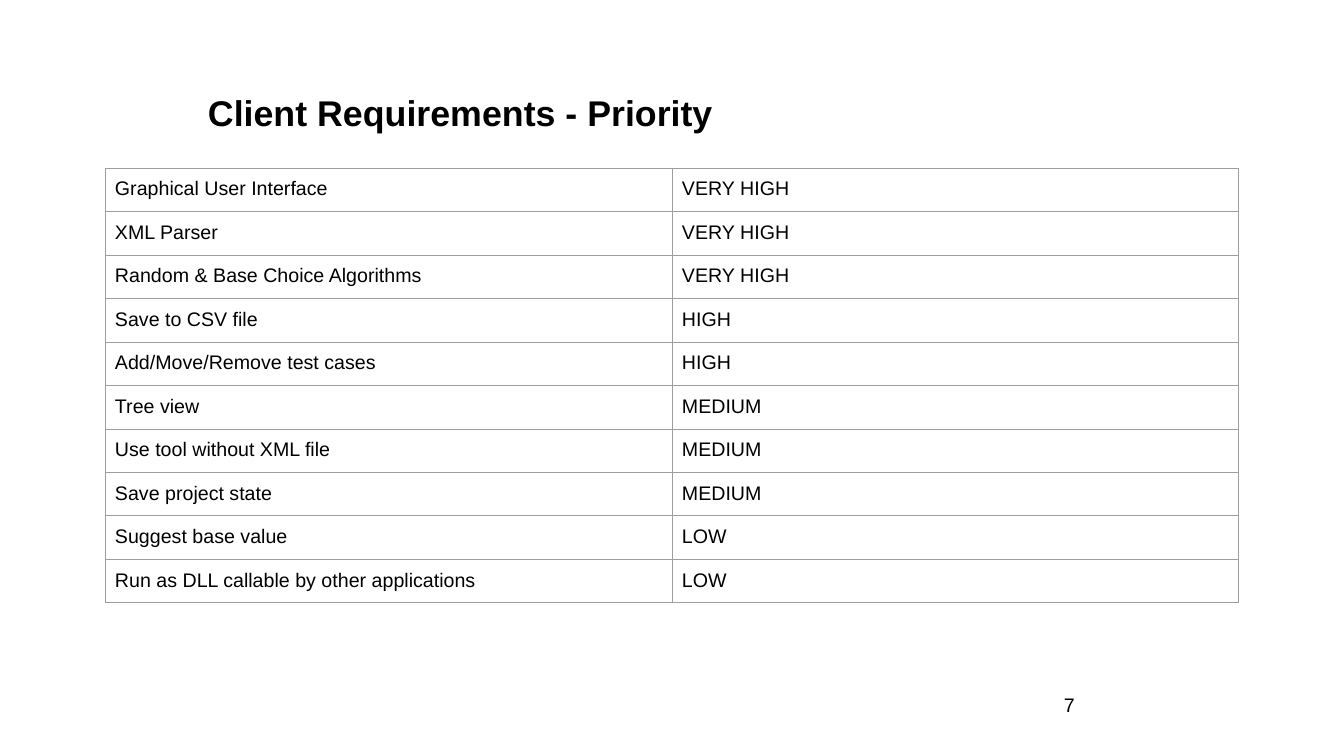
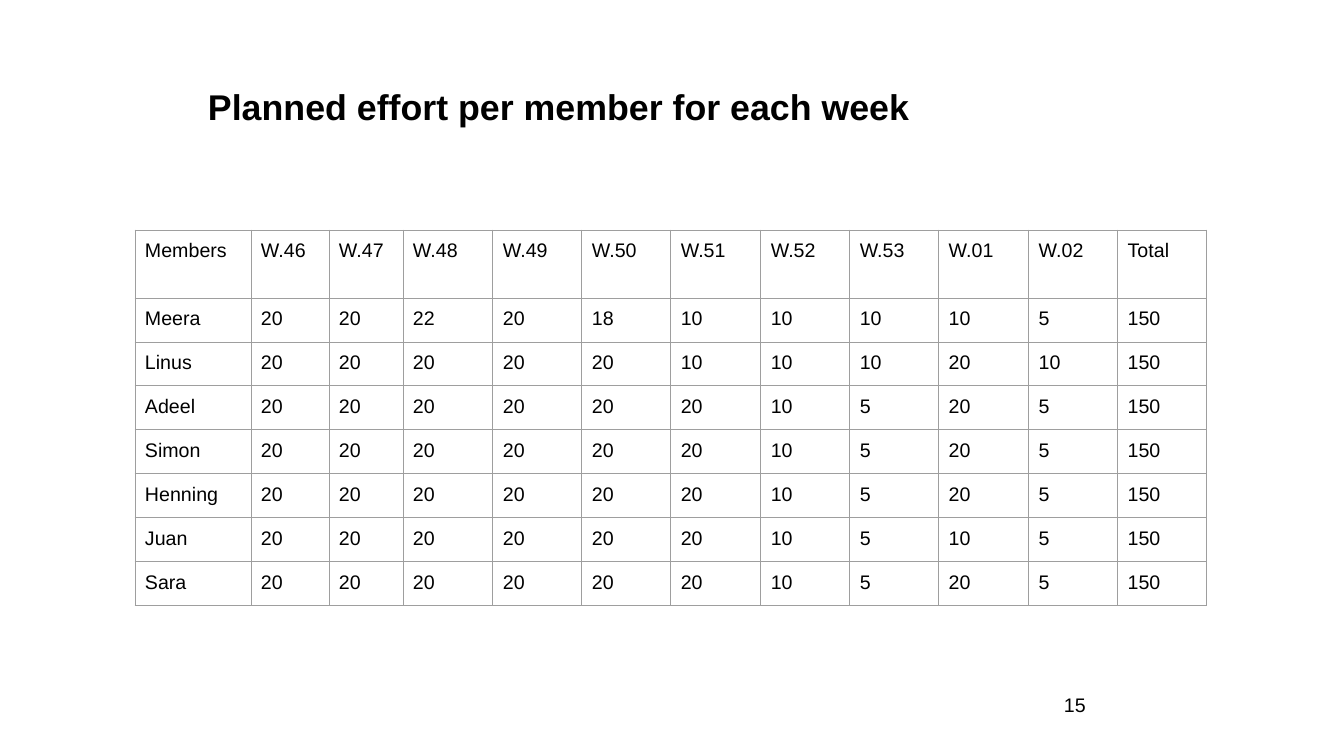
from lxml.etree import SubElement
from pptx import Presentation
from pptx.dml.color import RGBColor
from pptx.enum.text import MSO_ANCHOR as Anchor
from pptx.oxml.ns import qn
from pptx.util import Emu, Pt

SCALE = 914400 / 100.8
FONT = "Arial"
BLACK = RGBColor(0x00, 0x00, 0x00)
WHITE = RGBColor(0xFF, 0xFF, 0xFF)
GRID = RGBColor(0x9E, 0x9E, 0x9E)
TITLE_SIZE = 25.5
TEXT_SIZE = 14
BORDER = Pt(0.75)
CELL_MARGIN = 10
BORDER_TAGS = ("a:lnL", "a:lnR", "a:lnT", "a:lnB")


def px(length):
    return Emu(round(length * SCALE))


def add_run(para, text, size=TEXT_SIZE, bold=False):
    span = para.add_run()
    span.text = text
    span.font.name = FONT
    span.font.size = Pt(size)
    span.font.bold = bold
    span.font.color.rgb = BLACK


priorities = [
    ("Graphical User Interface", "VERY HIGH"),
    ("XML Parser", "VERY HIGH"),
    ("Random & Base Choice Algorithms", "VERY HIGH"),
    ("Save to CSV file", "HIGH"),
    ("Add/Move/Remove test cases", "HIGH"),
    ("Tree view", "MEDIUM"),
    ("Use tool without XML file", "MEDIUM"),
    ("Save project state", "MEDIUM"),
    ("Suggest base value", "LOW"),
    ("Run as DLL callable by other applications", "LOW"),
]

weeks = (46, 47, 48, 49, 50, 51, 52, 53, 1, 2)
efforts = [
    ("Members", *(f"W.{week:02}" for week in weeks), "Total"),
    ("Meera", 20, 20, 22, 20, 18, 10, 10, 10, 10, 5, 150),
    ("Linus", 20, 20, 20, 20, 20, 10, 10, 10, 20, 10, 150),
    ("Adeel", 20, 20, 20, 20, 20, 20, 10, 5, 20, 5, 150),
    ("Simon", 20, 20, 20, 20, 20, 20, 10, 5, 20, 5, 150),
    ("Henning", 20, 20, 20, 20, 20, 20, 10, 5, 20, 5, 150),
    ("Juan", 20, 20, 20, 20, 20, 20, 10, 5, 10, 5, 150),
    ("Sara", 20, 20, 20, 20, 20, 20, 10, 5, 20, 5, 150),
]

pages = [
    {
        "title": "Client Requirements - Priority",
        "title_top": 78,
        "number": "7",
        "corner": (105, 168),
        "columns": [567] * 2,
        "heights": [42] * len(priorities),
        "rows": priorities,
    },
    {
        "title": "Planned effort per member for each week",
        "title_top": 72,
        "number": "15",
        "corner": (135, 230),
        "columns": [116, 78, 74] + [90, 89, 89] * 3,
        "heights": [68] + [44] * (len(efforts) - 1),
        "rows": efforts,
    },
]

deck = Presentation()
deck.slide_width, deck.slide_height = px(1344), px(756)

for content in pages:
    page = deck.slides.add_slide(deck.slide_layouts[6])
    page.background.fill.solid()
    page.background.fill.fore_color.rgb = WHITE

    labels = [
        (content["title"], (198, content["title_top"], 866, 74), (10, 10), TITLE_SIZE, True),
        (content["number"], (1057, 691, 221, 28), (7, 4), TEXT_SIZE, False),
    ]
    for text, place, (side, edge), size, bold in labels:
        box = page.shapes.add_textbox(*map(px, place))
        frame = box.text_frame
        frame.word_wrap = True
        frame.vertical_anchor = Anchor.MIDDLE
        frame.margin_left = frame.margin_right = px(side)
        frame.margin_top = frame.margin_bottom = px(edge)
        para = frame.paragraphs[0]
        if bold:
            para.line_spacing = 0.9
            para.space_after = Pt(9)
        add_run(para, text, size, bold)

    rows, columns, heights = content["rows"], content["columns"], content["heights"]
    size = (sum(columns), sum(heights))
    table = page.shapes.add_table(
        len(rows), len(columns), *map(px, content["corner"] + size)
    ).table
    table.first_row = table.horz_banding = False
    for column, width in zip(table.columns, columns):
        column.width = px(width)
    for row, height, values in zip(table.rows, heights, rows):
        row.height = px(height)
        for cell, value in zip(row.cells, values):
            cell.margin_left = cell.margin_right = px(CELL_MARGIN)
            cell.margin_top = cell.margin_bottom = px(CELL_MARGIN)
            add_run(cell.text_frame.paragraphs[0], str(value))
            properties = cell._tc.get_or_add_tcPr()
            for tag in BORDER_TAGS:
                line = SubElement(properties, qn(tag), w=str(BORDER))
                fill = SubElement(line, qn("a:solidFill"))
                SubElement(fill, qn("a:srgbClr"), val=str(GRID))
            cell.fill.background()

deck.save("out.pptx")
